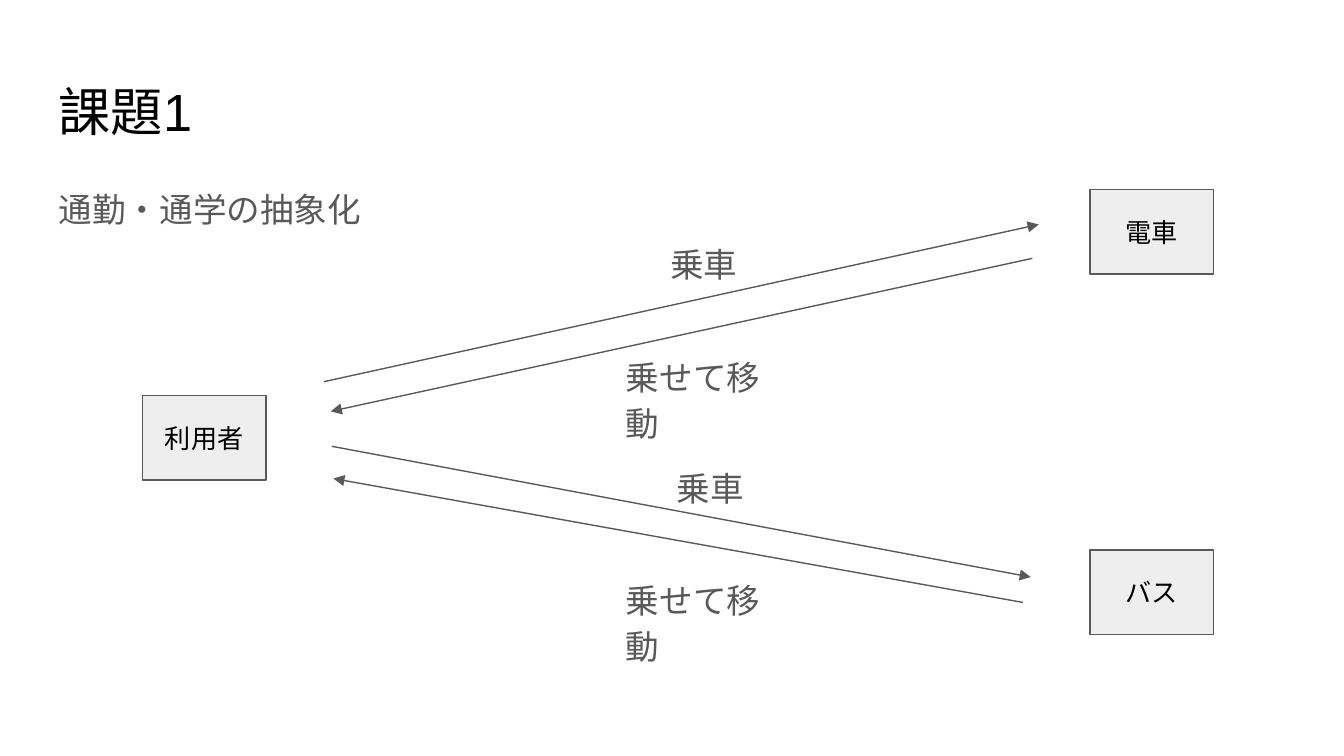
import pptx
import pptx.util
import pptx.dml.color
import pptx.enum.shapes
import pptx.enum.text
import pptx.oxml
import pptx.oxml.ns

Cm, Pt = pptx.util.Cm, pptx.util.Pt
ALIGN = pptx.enum.text.PP_ALIGN
ANCHOR = pptx.enum.text.MSO_ANCHOR
INK, GREY, PALE = "000000", "595959", "EEEEEE"


def color(code):
    return pptx.dml.color.RGBColor.from_string(code)


def write(shape, text, size, ink, align=ALIGN.LEFT, anchor=ANCHOR.TOP, body=False):
    frame = shape.text_frame
    frame.word_wrap = True
    frame.auto_size = pptx.enum.text.MSO_AUTO_SIZE.NONE
    frame.vertical_anchor = anchor
    frame.margin_left = frame.margin_right = Cm(0.25)
    frame.margin_top = frame.margin_bottom = Cm(0.25)
    para = frame.paragraphs[0]
    para.alignment = align
    if body:
        para.line_spacing = 1.15
        para.space_after = Pt(16)
    run = para.add_run()
    run.text = text
    run.font.name = "Arial"
    run.font.size = Pt(size)
    run.font.color.rgb = color(ink)


def add_note(slide, box, text, align=ALIGN.LEFT):
    shape = slide.shapes.add_textbox(*map(Cm, box))
    write(shape, text, 18, GREY, align, body=True)


def add_node(slide, box, text):
    kind = pptx.enum.shapes.MSO_SHAPE.RECTANGLE
    shape = slide.shapes.add_shape(kind, *map(Cm, box))
    shape.shadow.inherit = False
    shape.fill.solid()
    shape.fill.fore_color.rgb = color(PALE)
    shape.line.color.rgb = color(GREY)
    shape.line.width = Pt(0.75)
    write(shape, text, 14, INK, ALIGN.CENTER, ANCHOR.MIDDLE)


def add_arrow(slide, start, end):
    kind = pptx.enum.shapes.MSO_CONNECTOR.STRAIGHT
    arrow = slide.shapes.add_connector(kind, *map(Cm, start + end))
    arrow.line.color.rgb = color(GREY)
    arrow.line.width = Pt(0.75)
    tip = pptx.oxml.parse_xml(
        f'<a:tailEnd {pptx.oxml.ns.nsdecls("a")} type="triangle" w="med" len="med"/>')
    arrow.line._get_or_add_ln().append(tip)
    flat = pptx.oxml.parse_xml(f'<a:effectLst {pptx.oxml.ns.nsdecls("a")}/>')
    arrow._element.spPr.append(flat)


def add_head(slide, box):
    """Title with the topic line below it."""
    left, top, width, height = box
    title = slide.shapes.title
    title.left, title.top = Cm(left), Cm(top)
    title.width, title.height = Cm(width), Cm(height)
    write(title, "課題1", 28, INK)
    add_note(slide, (left, top + 1.96, width, 9.5), "通勤・通学の抽象化")


def add_route(slide, box, out, back, ride, move):
    """Arrow pair between user and vehicle, with its two labels."""
    left, top = box[:2]

    def place(spot):
        return left + spot[0], top + spot[1]

    for start, end in (out, back):
        add_arrow(slide, place(start), place(end))
    add_note(slide, (*place(ride), 2.06, 1.12), "乗車", ALIGN.CENTER)
    add_note(slide, (*place(move), 3.66, 1.12), "乗せて移動")


def add_map(slide, box):
    """User on the left, vehicles on the right, routes between."""
    left, top, width, height = box
    wide, high = 2.34, 1.6
    right = left + width - wide
    nodes = (("利用者", left, top + 3.89),
             ("バス", right, top + height - high),
             ("電車", right, top))
    for text, x, y in nodes:
        add_node(slide, (x, y, wide, high), text)

    # Train route above, bus route below
    add_route(slide, (left + 3.43, top + 0.66, 13.51, 3.53),
              ((0, 2.97), (13.51, 0)), ((13.39, 0.64), (0.13, 3.53)),
              (6.15, 0), (5.46, 2.14))
    add_route(slide, (left + 3.43, top + 4.85, 13.51, 2.95),
              ((0.15, 0), (13.36, 2.47)), ((13.21, 2.95), (0.18, 0.61)),
              (6.28, 0.05), (5.46, 2.16))


def main():
    deck = pptx.Presentation()
    deck.slide_width, deck.slide_height = Cm(25.4), Cm(14.28)
    slide = deck.slides.add_slide(deck.slide_layouts[5])
    add_head(slide, (0.86, 1.24, 23.67, 1.6))
    add_map(slide, (2.69, 3.58, 20.25, 8.41))
    deck.save("out.pptx")


if __name__ == "__main__":
    main()
